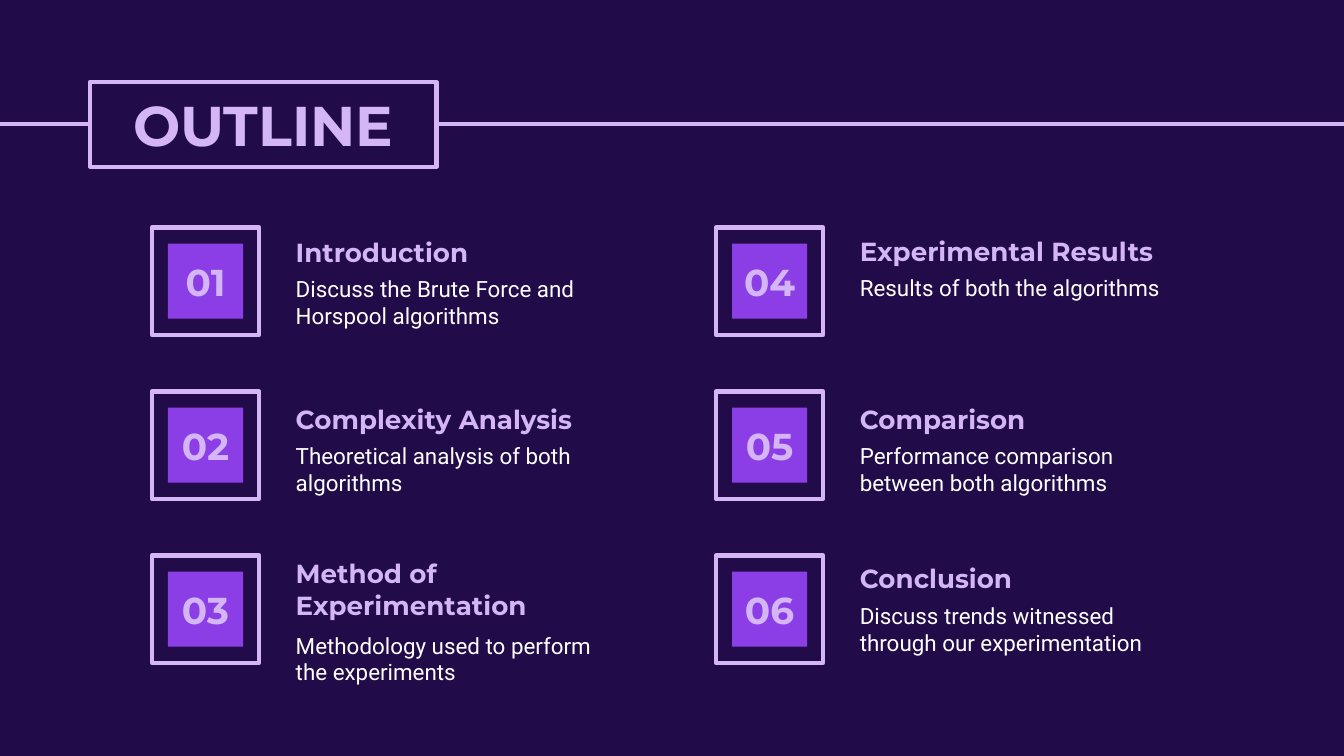
from lxml import etree
from pptx import Presentation
from pptx.dml.color import RGBColor
from pptx.enum.shapes import MSO_CONNECTOR, MSO_SHAPE
from pptx.enum.text import MSO_ANCHOR, PP_ALIGN
from pptx.oxml.ns import qn
from pptx.util import Cm, Pt

RECTANGLE = MSO_SHAPE.RECTANGLE
STRAIGHT = MSO_CONNECTOR.STRAIGHT
TOP, MIDDLE = MSO_ANCHOR.TOP, MSO_ANCHOR.MIDDLE
LEFT, CENTER = PP_ALIGN.LEFT, PP_ALIGN.CENTER

COLORS = {
    "night": "220B49",
    "lilac": "D4B6F6",
    "violet": "8C3EE6",
    "white": "FFFFFF",
}
HEADING_FONT, BODY_FONT = "Montserrat", "Roboto"

SLIDE_WIDTH, SLIDE_HEIGHT = 25.4, 14.29
RULE_Y = 2.34
GRID_LEFT, GRID_TOP = 2.87, 4.3
COLUMN_PITCH, ROW_PITCH = 10.66, 3.1
ROWS = 3
FRAME_SIZE, BADGE_SIZE = 2.03, 1.42
NUMBER_HEIGHT = 0.97
TEXT_OFFSET, TEXT_WIDTH = 2.47, 6.55
HEADING_HEIGHT, BODY_HEIGHT = 1.17, 1.5
ONE_LINE, TWO_LINES = 0.74, 1.4

# heading, description, top of heading, drop from heading to description
SECTIONS = [
    ("Introduction", "Discuss the Brute Force and Horspool algorithms", 4.22, ONE_LINE),
    ("Complexity Analysis", "Theoretical analysis of both algorithms", 7.37, ONE_LINE),
    ("Method of Experimentation", "Methodology used to perform the experiments", 10.29, TWO_LINES),
    ("Experimental Results", "Results of both the algorithms", 4.2, ONE_LINE),
    ("Comparison", "Performance comparison between both algorithms", 7.37, ONE_LINE),
    ("Conclusion", "Discuss trends witnessed through our experimentation", 10.39, ONE_LINE),
]


def color(name):
    return RGBColor.from_string(COLORS[name])


def outline(line):
    """Give a line the lilac stroke with rounded corners."""
    line.color.rgb = color("lilac")
    line.width = Pt(2.25)
    etree.SubElement(line.fill._xPr, qn("a:round"))


def write(frame, text, size, font, ink, bold=False, align=LEFT, anchor=TOP):
    frame.word_wrap = True
    frame.vertical_anchor = anchor
    frame.margin_left = frame.margin_right = Cm(0.25)
    frame.margin_top = frame.margin_bottom = Cm(0.25)
    paragraph = frame.paragraphs[0]
    paragraph.alignment = align
    run = paragraph.add_run()
    run.text = text
    run.font.size = Pt(size)
    run.font.name = font
    run.font.bold = bold
    run.font.color.rgb = color(ink)


def add_text(slide, left, top, width, height, *content, **style):
    box = slide.shapes.add_textbox(Cm(left), Cm(top), Cm(width), Cm(height))
    write(box.text_frame, *content, **style)


def add_title(slide, text):
    title = slide.shapes.title
    title.left, title.top = Cm(1.7), Cm(1.55)
    title.width, title.height = Cm(6.55), Cm(1.6)
    title.fill.solid()
    title.fill.fore_color.rgb = color("night")
    outline(title.line)
    write(title.text_frame, text, 30, HEADING_FONT, "lilac",
          bold=True, align=CENTER, anchor=MIDDLE)


def add_rule(slide):
    """Draw the line across the slide, behind the title."""
    rule = slide.shapes.add_connector(
        STRAIGHT, Cm(0), Cm(RULE_Y), Cm(SLIDE_WIDTH), Cm(RULE_Y))
    outline(rule.line)
    properties = rule._element.spPr
    etree.SubElement(properties, qn("a:effectLst"))
    slide.shapes.title._element.addprevious(rule._element)


def add_square(group, left, top, size):
    square = group.shapes.add_shape(
        RECTANGLE, Cm(left), Cm(top), Cm(size), Cm(size))
    square.shadow.inherit = False
    return square


def add_badge(slide, left, top, number):
    """Add a framed square with its number."""
    group = slide.shapes.add_group_shape()
    frame = add_square(group, left, top, FRAME_SIZE)
    frame.fill.background()
    outline(frame.line)
    inset = (FRAME_SIZE - BADGE_SIZE) / 2
    core = add_square(group, left + inset, top + inset, BADGE_SIZE)
    core.fill.solid()
    core.fill.fore_color.rgb = color("violet")
    core.line.fill.background()
    number_top = top + (FRAME_SIZE - NUMBER_HEIGHT) / 2
    add_text(slide, left, number_top, FRAME_SIZE, NUMBER_HEIGHT,
             f"{number:02d}", 20, HEADING_FONT, "lilac",
             bold=True, align=CENTER, anchor=MIDDLE)


def add_section(slide, index, heading, description, heading_top, drop):
    column, row = divmod(index, ROWS)
    left = GRID_LEFT + column * COLUMN_PITCH
    add_badge(slide, left, GRID_TOP + row * ROW_PITCH, index + 1)
    text_left = left + TEXT_OFFSET
    add_text(slide, text_left, heading_top, TEXT_WIDTH, HEADING_HEIGHT,
             heading, 14, HEADING_FONT, "lilac", bold=True)
    add_text(slide, text_left, heading_top + drop, TEXT_WIDTH, BODY_HEIGHT,
             description, 12, BODY_FONT, "white")


def main():
    deck = Presentation()
    deck.slide_width, deck.slide_height = Cm(SLIDE_WIDTH), Cm(SLIDE_HEIGHT)
    slide = deck.slides.add_slide(deck.slide_layouts[5])
    slide.background.fill.solid()
    slide.background.fill.fore_color.rgb = color("night")
    add_title(slide, "OUTLINE")
    add_rule(slide)
    for index, section in enumerate(SECTIONS):
        add_section(slide, index, *section)
    deck.save("out.pptx")


if __name__ == "__main__":
    main()
